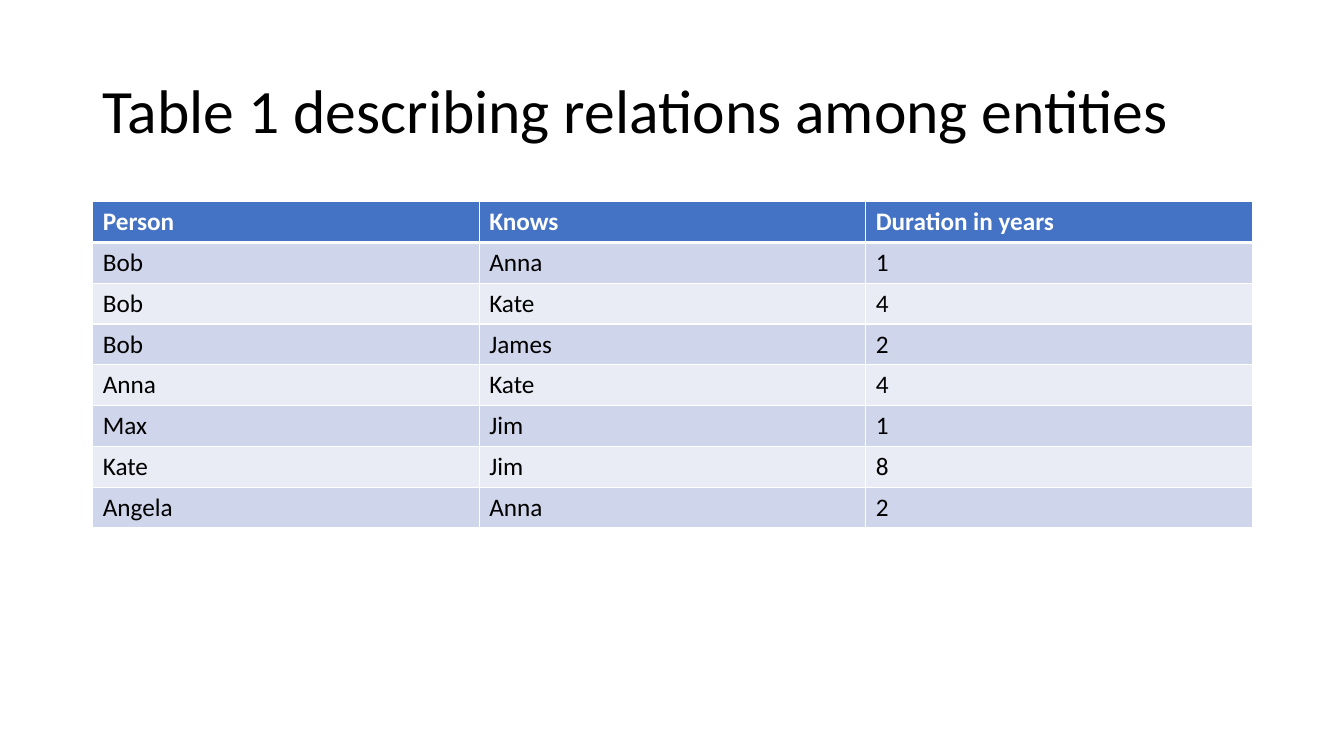
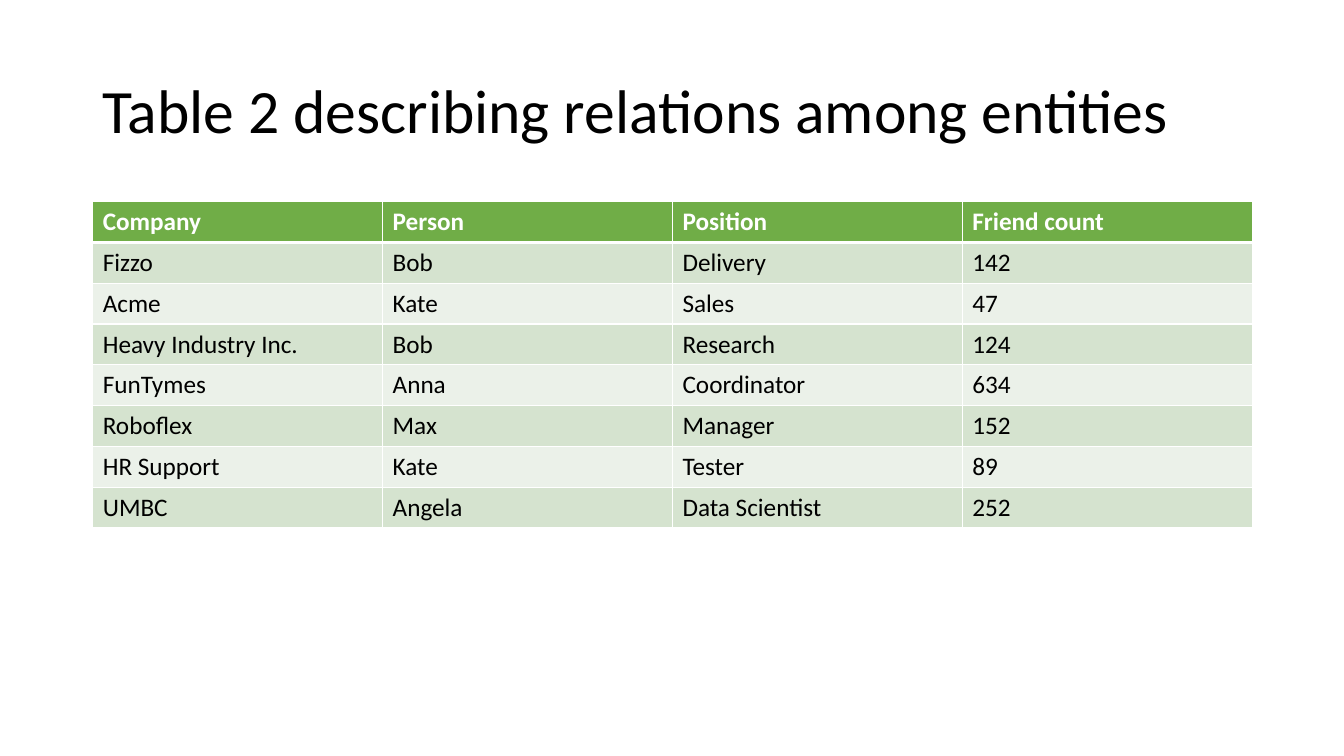
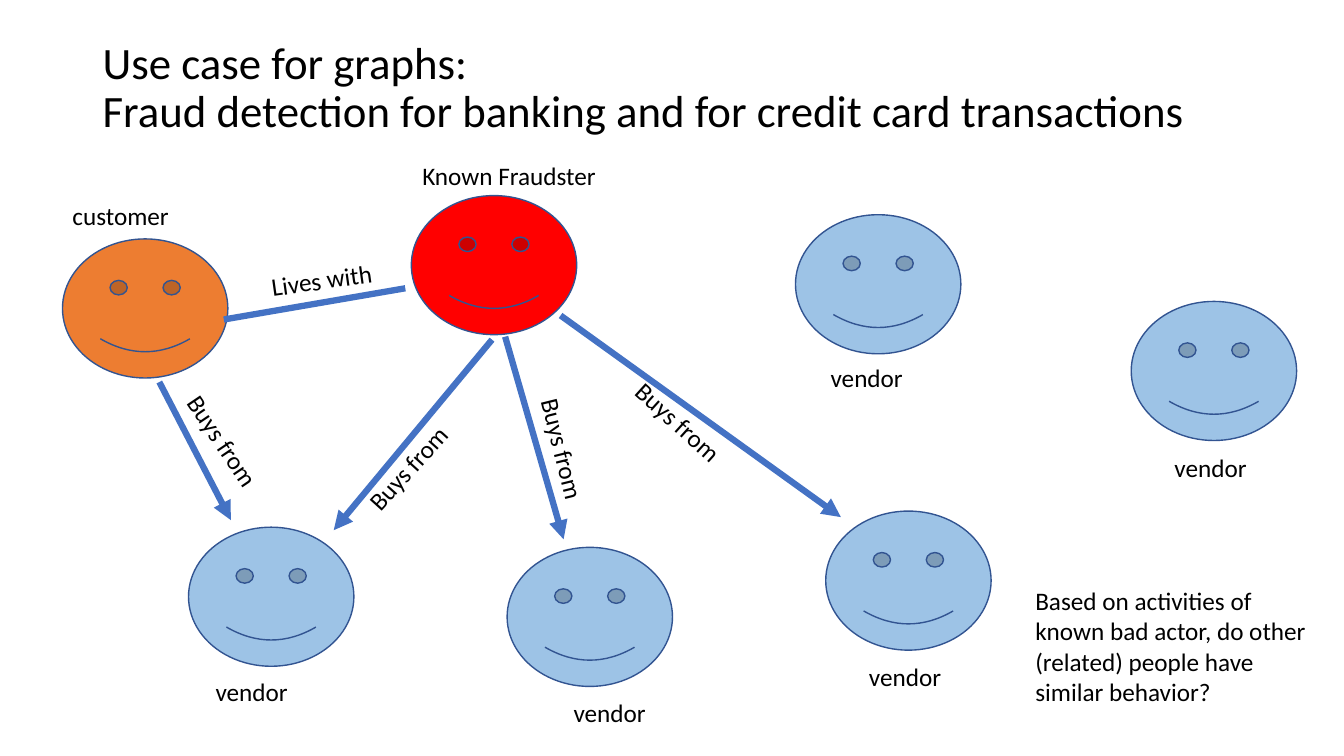
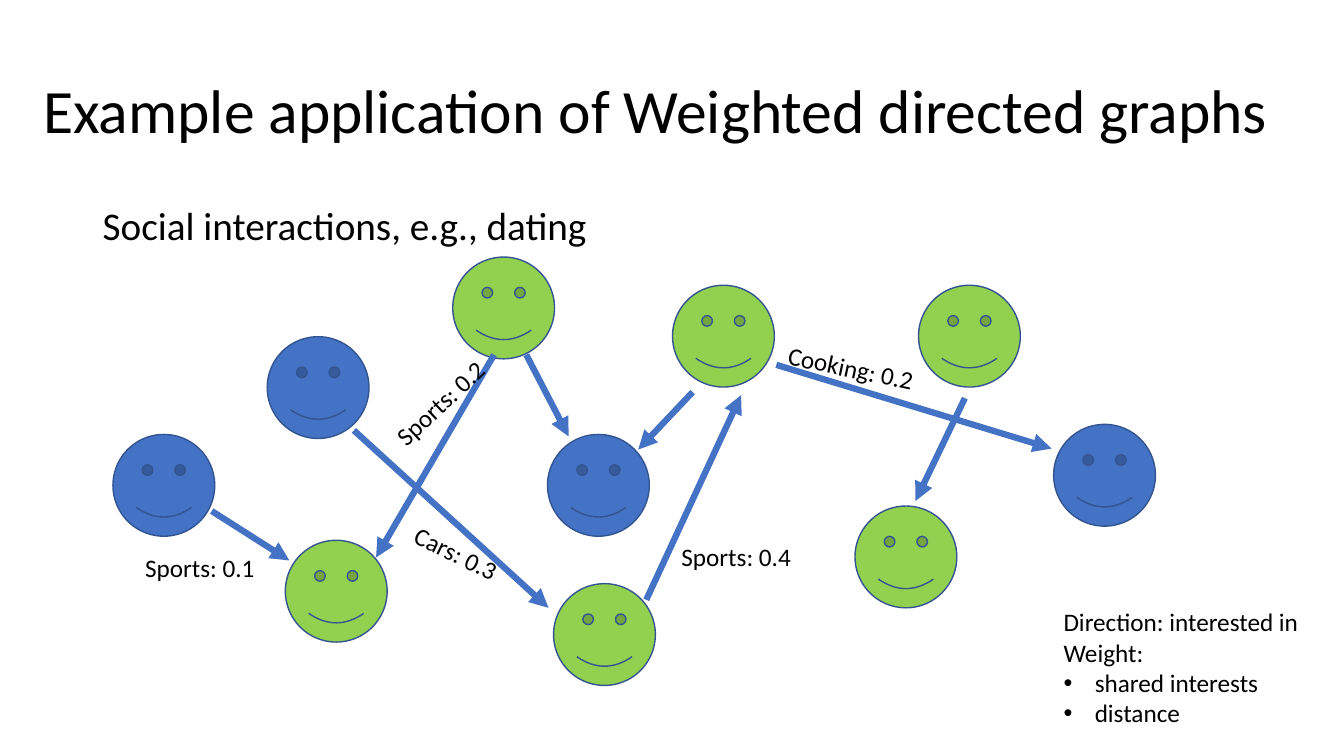
"""Build four slides on tables and graphs of related entities."""
from lxml import etree
from pptx import Presentation
from pptx import util as u
from pptx.dml.color import RGBColor
from pptx.enum import shapes, text
from pptx.oxml import ns

FONT = "Calibri"
COLORS = {
    "text": "000000",
    "white": "FFFFFF",
    "outline": "325491",
    "blue": "4472C4",
    "blue_band": "CFD5EA",
    "blue_light": "E9EBF5",
    "green": "70AD47",
    "green_band": "D5E3CF",
    "green_light": "EBF1E9",
    "customer": "ED7D31",
    "fraudster": "FF0000",
    "vendor": "9DC3E6",
    "lime": "92D050",
}


def rgb(name):
    """Return the named colour."""
    return RGBColor.from_string(COLORS[name])


def child(parent, tag, **attrs):
    """Append a DrawingML element."""
    return etree.SubElement(parent, ns.qn(tag), attrs)


def set_font(p, size, color="text", bold=False):
    """Set the font of a paragraph."""
    f = p.font
    f.name, f.size, f.bold = FONT, u.Pt(size), bold
    f.color.rgb = rgb(color)


def add_bullet(p):
    """Give a paragraph a hanging round bullet."""
    pPr = p._p.get_or_add_pPr()
    pPr.set("marL", str(u.Inches(0.31)))
    pPr.set("indent", str(u.Inches(-0.31)))
    child(pPr, "a:buFont", typeface="Arial")
    child(pPr, "a:buChar", char="•")


def add_text(s, x, y, w, h, lines, size=18, rotation=0, spacing=None, bullets=()):
    """Add a wrapping text box with one paragraph per line."""
    sp = s.shapes.add_textbox(u.Inches(x), u.Inches(y), u.Inches(w), u.Inches(h))
    sp.rotation = rotation
    tf = sp.text_frame
    tf.word_wrap = True
    for i, line in enumerate([*lines, *bullets]):
        p = tf.paragraphs[0] if i == 0 else tf.add_paragraph()
        p.text = line
        if i >= len(lines):
            add_bullet(p)
        if spacing:
            p.line_spacing = spacing
        set_font(p, size)
    return tf


def add_title(s, title, x=0.92, w=11.5, size=44):
    """Add the slide title."""
    tf = add_text(s, x, 0.4, w, 1.45, [title], size, spacing=0.9)
    tf.vertical_anchor = text.MSO_ANCHOR.MIDDLE
    return tf


def add_borders(cell, bottom):
    """Draw white borders round a cell."""
    tcPr = cell._tc.get_or_add_tcPr()
    for side, width in (("L", 1), ("R", 1), ("T", 1), ("B", bottom)):
        ln = child(tcPr, f"a:ln{side}", w=str(u.Pt(width)))
        child(child(ln, "a:solidFill"), "a:srgbClr", val=COLORS["white"])


def add_table(s, rows, color):
    """Add a banded table with a coloured header row."""
    n = len(rows[0])
    table = s.shapes.add_table(len(rows), n, u.Inches(0.92), u.Inches(2),
                               u.Inches(11.5), u.Inches(3.24)).table
    for i, row in enumerate(rows):
        header = i == 0
        fill = color if header else color + ("_band" if i % 2 else "_light")
        for j, value in enumerate(row):
            cell = table.cell(i, j)
            cell.text = value
            set_font(cell.text_frame.paragraphs[0], 18, "white" if header else "text", header)
            add_borders(cell, 3 if header else 1)
            cell.fill.solid()
            cell.fill.fore_color.rgb = rgb(fill)


def add_face(s, x, y, w, h, color):
    """Add a smiley face."""
    sp = s.shapes.add_shape(shapes.MSO_SHAPE.SMILEY_FACE, u.Inches(x), u.Inches(y),
                            u.Inches(w), u.Inches(h))
    sp.shadow.inherit = False
    sp.fill.solid()
    sp.fill.fore_color.rgb = rgb(color)
    sp.line.color.rgb = rgb("outline")
    sp.line.width = u.Pt(1)


def add_link(s, x1, y1, x2, y2, arrow=True):
    """Add a thick line between two faces."""
    cn = s.shapes.add_connector(shapes.MSO_CONNECTOR.STRAIGHT, u.Inches(x1), u.Inches(y1),
                                u.Inches(x2), u.Inches(y2))
    cn.line.color.rgb = rgb("blue")
    cn.line.width = u.Pt(4.5)
    if arrow:
        child(cn.line._get_or_add_ln(), "a:tailEnd", type="triangle")
    child(cn._element.spPr, "a:effectLst")


def add_labels(s, labels):
    """Add one-line labels given as text, left, top, width and rotation."""
    for label, x, y, w, rotation in labels:
        add_text(s, x, y, w, 0.4, [label], rotation=rotation)


def knows_slide(s):
    """Show who knows whom."""
    add_title(s, "Table 1 describing relations among entities")
    add_table(s, [
        ("Person", "Knows", "Duration in years"),
        ("Bob", "Anna", "1"),
        ("Bob", "Kate", "4"),
        ("Bob", "James", "2"),
        ("Anna", "Kate", "4"),
        ("Max", "Jim", "1"),
        ("Kate", "Jim", "8"),
        ("Angela", "Anna", "2"),
    ], "blue")


def jobs_slide(s):
    """Show who works where."""
    add_title(s, "Table 2 describing relations among entities")
    add_table(s, [
        ("Company", "Person", "Position", "Friend count"),
        ("Fizzo", "Bob", "Delivery", "142"),
        ("Acme", "Kate", "Sales", "47"),
        ("Heavy Industry Inc.", "Bob", "Research", "124"),
        ("FunTymes", "Anna", "Coordinator", "634"),
        ("Roboflex", "Max", "Manager", "152"),
        ("HR Support", "Kate", "Tester", "89"),
        ("UMBC", "Angela", "Data Scientist", "252"),
    ], "green")


def fraud_slide(s):
    """Show the fraud detection graph."""
    tf = add_title(s, "Use case for graphs:\vFraud detection for banking and for "
                      "credit card transactions", size=32)
    tf.vertical_anchor = text.MSO_ANCHOR.TOP
    tf.margin_top = 0
    vendors = [(1.87, 5.23), (5.03, 5.43), (7.89, 2.13), (8.19, 5.07), (11.22, 2.99)]
    for x, y in vendors:
        add_face(s, x, y, 1.64, 1.38, "vendor")
    add_face(s, 0.62, 2.37, 1.64, 1.38, "customer")
    add_face(s, 4.08, 1.94, 1.64, 1.38, "fraudster")
    add_link(s, 2.22, 3.17, 4.02, 2.86, arrow=False)
    for ends in [(1.58, 3.79, 2.29, 5.16), (4.88, 3.37, 3.31, 5.26),
                 (5.01, 3.34, 5.59, 5.35), (5.56, 3.13, 8.34, 5.13)]:
        add_link(s, *ends)
    for x, y, rotation in [(1.57, 4.23, 56), (3.41, 4.39, 312), (6.1, 4.03, 42), (4.92, 4.32, 76)]:
        add_text(s, x, y, 1.36, 0.4, ["Buys from"], rotation=rotation)
    for x, y in [(2.04, 6.66), (5.59, 6.87), (8.14, 3.55), (8.52, 6.51), (11.55, 4.44)]:
        add_text(s, x, y, 1.3, 0.4, ["vendor"])
    add_labels(s, [
        ("customer", 0.62, 1.94, 1.3, 0),
        ("Known Fraudster", 4.09, 1.54, 3, 0),
        ("Lives with", 2.58, 2.45, 3, 352),
    ])
    add_text(s, 10.17, 5.76, 3, 1.31, ["Based on activities of known bad actor, do other "
                                       "(related) people have similar behavior?"])


def dating_slide(s):
    """Show the weighted directed graph."""
    add_title(s, "Example application of Weighted directed graphs", 0.33, 12.68)
    add_text(s, 0.92, 2, 11.5, 4.76, ["Social interactions, e.g., dating"], 28, spacing=0.9)
    faces = {
        "blue": [(2.65, 3.34), (1.12, 4.31), (10.45, 4.21), (5.43, 4.31)],
        "lime": [(6.67, 2.83), (4.49, 2.55), (2.83, 5.36), (9.11, 2.83), (8.48, 5.02),
                 (5.49, 5.79)],
    }
    for color, places in faces.items():
        for x, y in places:
            add_face(s, x, y, 1.01, 1.01, color)
    for ends in [(4.9, 3.52, 3.73, 5.53), (5.22, 3.52, 5.64, 4.33), (6.87, 3.89, 6.33, 4.46),
                 (7.7, 3.62, 10.43, 4.45), (9.57, 3.95, 9.08, 4.97), (3.51, 4.27, 5.44, 6.03),
                 (2.1, 5.07, 2.87, 5.56), (6.41, 5.95, 7.35, 3.92)]:
        add_link(s, *ends)
    add_labels(s, [
        ("Sports: 0.1", 1.34, 5.43, 1.45, 0),
        ("Sports: 0.2", 3.7, 3.74, 1.45, 317),
        ("Sports: 0.4", 6.66, 5.32, 1.45, 0),
        ("Cooking: 0.2", 7.71, 3.47, 1.65, 12),
        ("Cars: 0.3", 3.97, 5.37, 1.45, 26),
    ])
    add_text(s, 10.45, 5.97, 3, 1.31, ["Direction: interested in", "Weight:"],
             bullets=["shared interests", "distance"])


def main():
    """Build and save the presentation."""
    prs = Presentation()
    prs.slide_width, prs.slide_height = u.Inches(13.33), u.Inches(7.5)
    for build in (knows_slide, jobs_slide, fraud_slide, dating_slide):
        build(prs.slides.add_slide(prs.slide_layouts[6]))
    prs.save("out.pptx")


if __name__ == "__main__":
    main()
